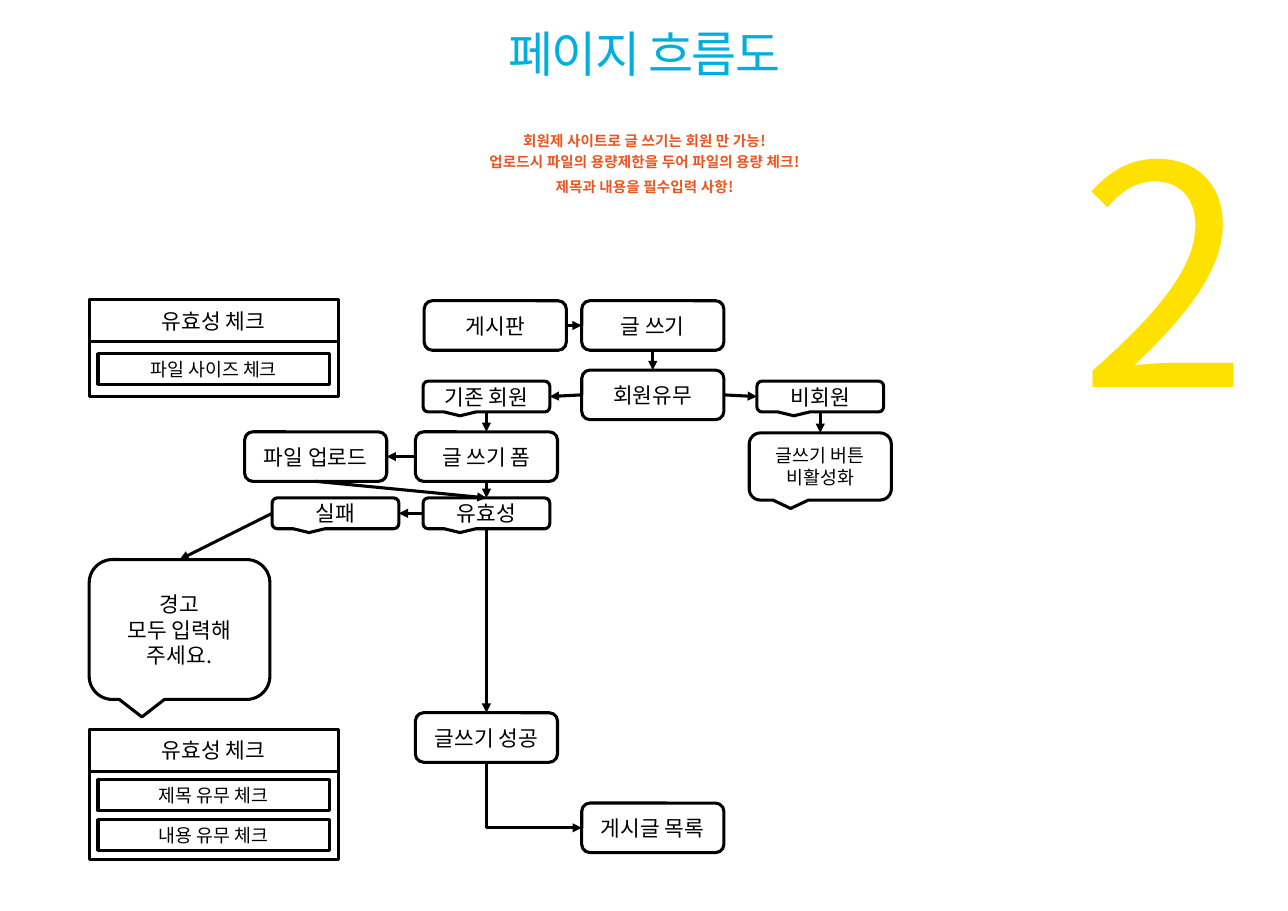
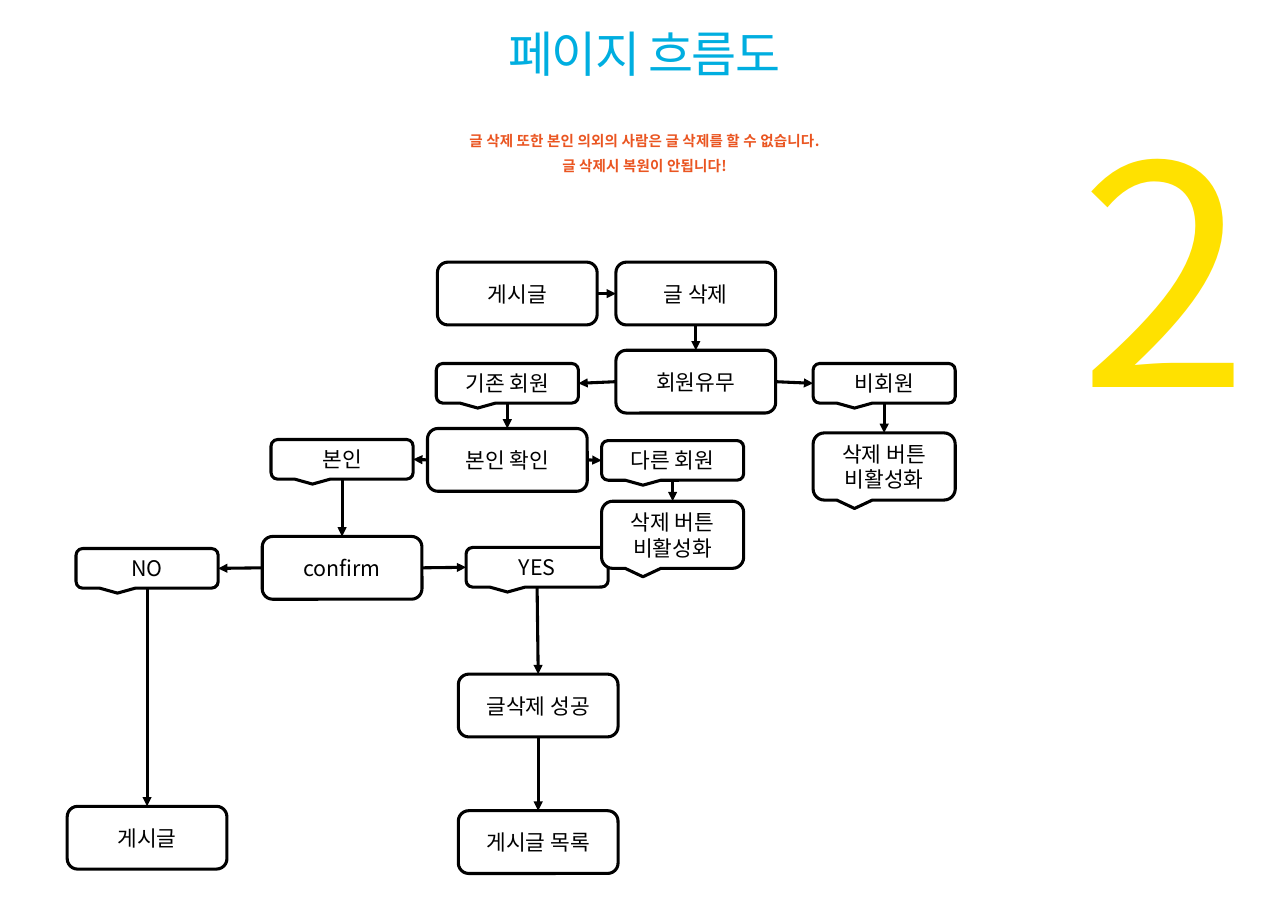
"""Build two page-flow slides: writing a post and deleting a post."""
import pptx
import pptx.util
import pptx.dml.color
import pptx.enum.shapes
import pptx.enum.text
import pptx.oxml.ns
import lxml.etree

Inches = pptx.util.Inches
Pt = pptx.util.Pt
RGBColor = pptx.dml.color.RGBColor
SHAPE = pptx.enum.shapes.MSO_SHAPE
LINK = pptx.enum.shapes.MSO_CONNECTOR
ALIGN = pptx.enum.text.PP_ALIGN
ANCHOR = pptx.enum.text.MSO_ANCHOR
qn = pptx.oxml.ns.qn

FONT = "Noto Sans CJK KR"
BLACK = RGBColor(0x00, 0x00, 0x00)
WHITE = RGBColor(0xFF, 0xFF, 0xFF)
BLUE = RGBColor(0x00, 0xAE, 0xE0)
RED = RGBColor(0xEA, 0x55, 0x21)
GOLD = RGBColor(0xFF, 0xE1, 0x00)
TOP, LEFT, BASE, RIGHT = range(4)

ROUND = SHAPE.ROUNDED_RECTANGLE
CALL = SHAPE.ROUNDED_RECTANGULAR_CALLOUT
RECT = SHAPE.RECTANGLE

PAGES = [
    {
        "lead": "회원제 사이트로 글 쓰기는 회원 만 가능!\v"
                "업로드시 파일의 용량제한을 두어 파일의 용량 체크!\n"
                "제목과 내용을 필수입력 사항!",
        "kinds": {
            "step": (ROUND, 1.29, 0.45, 14),
            "tag": (CALL, 1.15, 0.28, 14),
            "note": (CALL, 1.29, 0.61, 12),
            "warn": (CALL, 1.64, 1.27, 14),
            "tall": (RECT, 2.26, 1.18, 14),
            "short": (RECT, 2.26, 0.88, 14),
            "head": (RECT, 2.26, 0.38, 14),
            "row": (RECT, 2.1, 0.28, 12),
        },
        "boxes": [
            ("board", "step", 3.85, 2.73, "게시판"),
            ("write", "step", 5.28, 2.73, "글 쓰기"),
            ("check", "step", 5.28, 3.36, "회원유무"),
            ("member", "tag", 3.84, 3.46, "기존 회원"),
            ("guest", "tag", 6.87, 3.46, "비회원"),
            ("off", "note", 6.8, 3.93, "글쓰기 버튼 비활성화"),
            ("form", "step", 3.77, 3.92, "글 쓰기 폼"),
            ("file", "step", 2.22, 3.92, "파일 업로드"),
            ("valid", "tag", 3.84, 4.52, "유효성"),
            ("fail", "tag", 2.47, 4.52, "실패"),
            ("alert", "warn", 0.81, 5.08, "경고\n모두 입력해 주세요."),
            ("done", "step", 3.77, 6.47, "글쓰기 성공"),
            ("list", "step", 5.28, 7.29, "게시글 목록"),
            ("size", "short", 0.81, 2.72, ""),
            ("size head", "head", 0.81, 2.72, "유효성 체크"),
            ("size row", "row", 0.89, 3.21, "파일 사이즈 체크"),
            ("input", "tall", 0.81, 6.62, ""),
            ("input head", "head", 0.81, 6.62, "유효성 체크"),
            ("title row", "row", 0.89, 7.08, "제목 유무 체크"),
            ("text row", "row", 0.89, 7.44, "내용 유무 체크"),
        ],
        "links": [
            ("board", RIGHT, "write", LEFT),
            ("write", BASE, "check", TOP),
            ("check", LEFT, "member", RIGHT),
            ("check", RIGHT, "guest", LEFT),
            ("guest", BASE, "off", TOP),
            ("member", BASE, "form", TOP),
            ("form", LEFT, "file", RIGHT),
            ("form", BASE, "valid", TOP),
            ("file", BASE, "valid", TOP),
            ("valid", LEFT, "fail", RIGHT),
            ("fail", LEFT, "alert", TOP),
            ("valid", BASE, "done", TOP),
            ("done", BASE, "list", LEFT),
        ],
    },
    {
        "lead": "글 삭제 또한 본인 의외의 사람은 글 삭제를 할 수 없습니다.\n"
                "글 삭제시 복원이 안됩니다!",
        "kinds": {
            "step": (ROUND, 1.45, 0.57, 14),
            "tag": (CALL, 1.29, 0.36, 14),
            "note": (CALL, 1.29, 0.61, 14),
        },
        "boxes": [
            ("post", "step", 3.97, 2.38, "게시글"),
            ("delete", "step", 5.59, 2.38, "글 삭제"),
            ("check", "step", 5.59, 3.18, "회원유무"),
            ("member", "tag", 3.96, 3.3, "기존 회원"),
            ("guest", "tag", 7.38, 3.3, "비회원"),
            ("guest off", "note", 7.38, 3.93, "삭제 버튼 비활성화"),
            ("owner", "step", 3.88, 3.89, "본인 확인"),
            ("self", "tag", 2.46, 3.99, "본인"),
            ("other", "tag", 5.46, 4, "다른 회원"),
            ("confirm", "step", 2.38, 4.87, "confirm"),
            ("no", "tag", 0.69, 4.98, "NO"),
            ("yes", "tag", 4.23, 4.97, "YES"),
            ("other off", "note", 5.46, 4.55, "삭제 버튼 비활성화"),
            ("back", "step", 0.61, 7.32, "게시글"),
            ("done", "step", 4.16, 6.12, "글삭제 성공"),
            ("list", "step", 4.16, 7.36, "게시글 목록"),
        ],
        "links": [
            ("post", RIGHT, "delete", LEFT),
            ("delete", BASE, "check", TOP),
            ("check", LEFT, "member", RIGHT),
            ("check", RIGHT, "guest", LEFT),
            ("guest", BASE, "guest off", TOP),
            ("member", BASE, "owner", TOP),
            ("owner", LEFT, "self", RIGHT),
            ("owner", RIGHT, "other", LEFT),
            ("other", BASE, "other off", TOP),
            ("self", BASE, "confirm", TOP),
            ("confirm", LEFT, "no", RIGHT),
            ("confirm", RIGHT, "yes", LEFT),
            ("no", BASE, "back", TOP),
            ("yes", BASE, "done", TOP),
            ("done", BASE, "list", TOP),
        ],
    },
]


def write(frame, text, size=14, color=BLACK, bold=False, track=0,
          align=ALIGN.CENTER, lead=None, gap=0, anchor=ANCHOR.MIDDLE, inset=None):
    """Fill a text frame, one paragraph per line of text."""
    frame.word_wrap = True
    frame.auto_size = pptx.enum.text.MSO_AUTO_SIZE.NONE
    frame.vertical_anchor = anchor
    if inset is not None:
        frame.margin_left = frame.margin_right = Inches(inset)
        frame.margin_top = frame.margin_bottom = Inches(inset)
    for i, line in enumerate(text.split("\n")):
        para = frame.add_paragraph() if i else frame.paragraphs[0]
        para.text = line
        para.alignment = align
        if lead:
            para.line_spacing = Pt(lead)
        if i and gap:
            para.space_before = Pt(gap)
        for run in para.runs:
            font = run.font
            font.size, font.bold, font.name = Pt(size), bold, FONT
            font.color.rgb = color
            props = run._r.get_or_add_rPr()
            lxml.etree.SubElement(props, qn("a:ea")).set("typeface", FONT)
            if track:
                props.set("spc", str(round(track * 100)))


deck = pptx.Presentation()
deck.slide_width, deck.slide_height = Inches(11.69), Inches(8.27)

for page in PAGES:
    slide = deck.slides.add_slide(deck.slide_layouts[5])
    shapes = slide.shapes

    title = shapes.title
    title.left, title.top = Inches(2.21), Inches(0.33)
    title.width, title.height = Inches(7.28), Inches(0.82)
    write(title.text_frame, "페이지 흐름도", size=32, color=BLUE, track=-1,
          lead=30, anchor=ANCHOR.TOP, inset=0)

    intro = shapes.add_textbox(Inches(2.21), Inches(1.16), Inches(7.28), Inches(0.79))
    write(intro.text_frame, page["lead"], size=9.5, color=RED, bold=True, track=0.1,
          lead=14, gap=2.5, anchor=ANCHOR.TOP, inset=0)

    digit = shapes.add_textbox(Inches(9.8), Inches(1.3), Inches(1.46), Inches(2.76))
    write(digit.text_frame, "2", size=200, color=GOLD, track=-1,
          align=ALIGN.LEFT, lead=200, anchor=ANCHOR.TOP, inset=0)

    nodes = {}
    for name, kind, x, y, text in page["boxes"]:
        form, wide, high, size = page["kinds"][kind]
        box = shapes.add_shape(form, Inches(x), Inches(y), Inches(wide), Inches(high))
        box.shadow.inherit = False
        box.fill.solid()
        box.fill.fore_color.rgb = WHITE
        box.line.color.rgb = BLACK
        box.line.width = Pt(2)
        if text:
            write(box.text_frame, text, size=size,
                  inset=0 if kind in ("tag", "row") else None)
        nodes[name] = box

    for start, out, end, into in page["links"]:
        bent = out == BASE and into == LEFT
        line = shapes.add_connector(LINK.ELBOW if bent else LINK.STRAIGHT, 0, 0, 0, 0)
        line.begin_connect(nodes[start], out)
        line.end_connect(nodes[end], into)
        line.line.color.rgb = BLACK
        line.line.width = Pt(2)
        props = line._element.spPr
        tail = lxml.etree.SubElement(line.line._get_or_add_ln(), qn("a:tailEnd"))
        tail.set("type", "triangle")
        lxml.etree.SubElement(props, qn("a:effectLst"))
        if bent:
            wide, high = line.width, line.height
            line.left += (wide - high) // 2
            line.top += (high - wide) // 2
            line.width, line.height = high, wide
            turn = props.find(qn("a:xfrm"))
            turn.set("rot", "16200000")
            turn.set("flipH", "1")
            props.find(qn("a:prstGeom")).set("prst", "bentConnector2")

deck.save("out.pptx")
